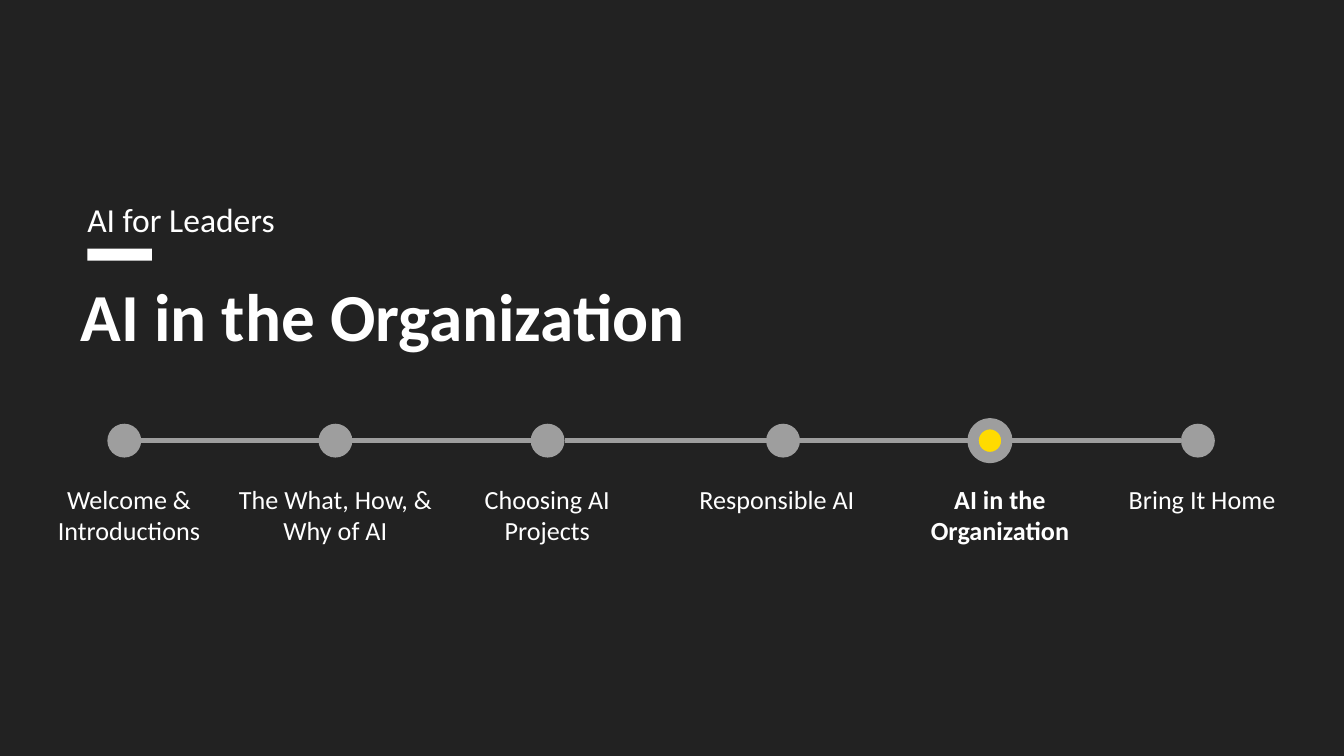
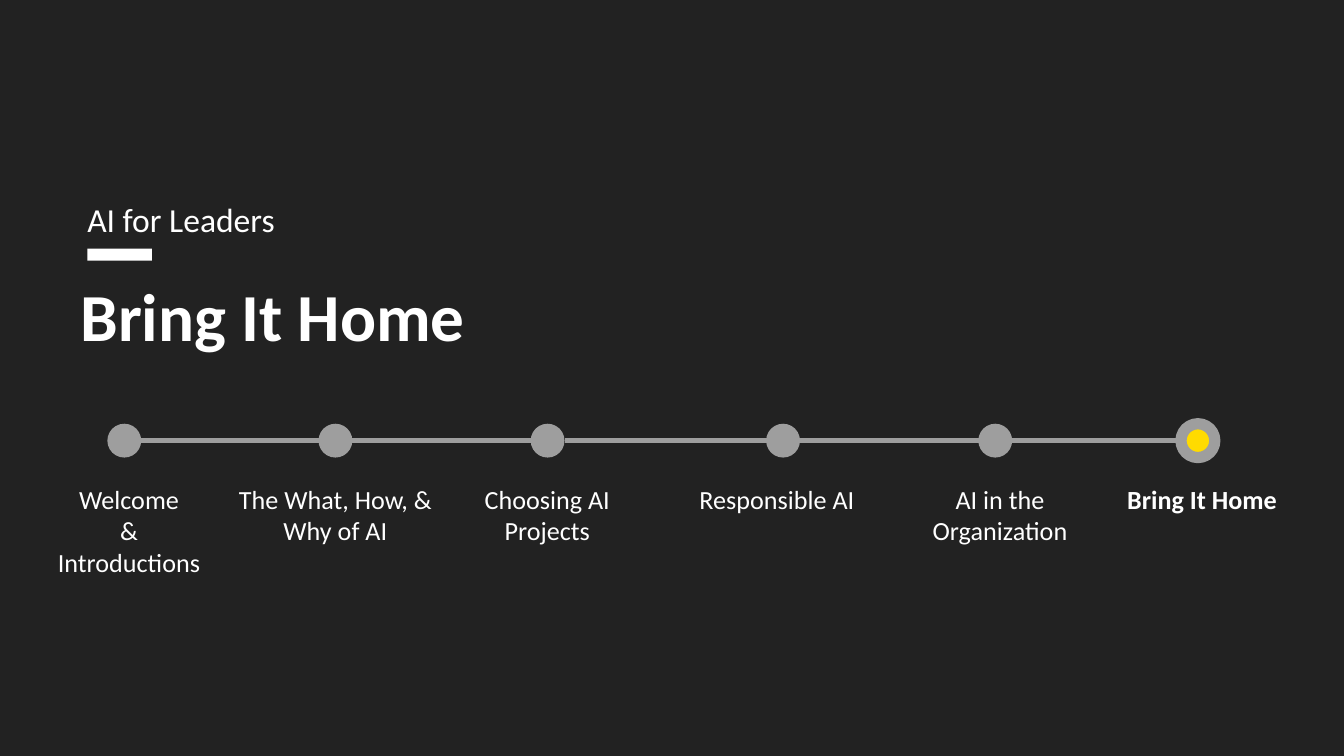
from copy import deepcopy
from dataclasses import dataclass
from typing import Optional

from pptx import Presentation
from pptx.dml.color import RGBColor
from pptx.enum.shapes import MSO_CONNECTOR as Connector, MSO_SHAPE as Shape
from pptx.enum.text import MSO_ANCHOR as Anchor, MSO_AUTO_SIZE as AutoSize, PP_ALIGN as Align
from pptx.oxml.ns import qn
from pptx.oxml.xmlchemy import OxmlElement
from pptx.slide import Slide
from pptx.util import Cm, Pt

FONT = "Calibri"
DARK, WHITE, GREY, YELLOW = "222222", "FFFFFF", "9E9E9E", "FFDB00"

# Timeline geometry in centimetres
RAIL_Y = 8.33
DOT = 0.64
LABEL_TOP = 8.89
RAIL_SPANS = ((0, 1), (1, 2), (2, 5))


@dataclass(frozen=True)
class Stop:
    label: str
    centre: float
    label_left: float
    label_width: float
    label_height: float = 2.54
    active_centre: Optional[float] = None


@dataclass(frozen=True)
class Section:
    title: str
    active: int
    first_label: str


STOPS = (
    Stop("Welcome & Introductions", 2.35, 0.66, 3.56),
    Stop("The What, How, & Why of AI", 6.34, 4.09, 4.5),
    Stop("Choosing AI Projects", 10.35, 8.48, 3.73),
    Stop("Responsible AI", 14.8, 12.55, 4.27, 2.79),
    Stop("AI in the Organization", 18.81, 17.12, 3.56, 2.79, active_centre=18.71),
    Stop("Bring It Home", 22.64, 21.03, 3.38),
)
SECTIONS = (
    Section("AI in the Organization", 4, STOPS[0].label),
    Section("Bring It Home", 5, "Welcome\v& Introductions"),
)


def colour(value: str) -> RGBColor:
    return RGBColor.from_string(value)


def write(box, text: str, size: float, bold: bool = False, align=Align.LEFT):
    """Fill a text box or placeholder and return its paragraph."""
    frame = box.text_frame
    frame.text = text
    frame.word_wrap = True
    frame.auto_size = AutoSize.NONE
    frame.vertical_anchor = Anchor.TOP
    frame.margin_left = frame.margin_right = Cm(0.25)
    frame.margin_top = frame.margin_bottom = Cm(0.25)
    para = frame.paragraphs[0]
    para.alignment = align
    for span in para.runs:
        span.font.name = FONT
        span.font.size = Pt(size)
        span.font.bold = bold
        span.font.color.rgb = colour(WHITE)
    # Line breaks take the size of the text around them
    for line_break in para._p.findall(qn("a:br")):
        line_break.append(deepcopy(para.runs[0]._r.rPr))
    return para


def add_solid(page: Slide, kind, left: float, top: float, width: float, height: float, fill: str):
    shape = page.shapes.add_shape(kind, Cm(left), Cm(top), Cm(width), Cm(height))
    shape.shadow.inherit = False
    shape.fill.solid()
    shape.fill.fore_color.rgb = colour(fill)
    shape.line.fill.background()
    return shape


def add_dot(page: Slide, centre: float, fill: str):
    return add_solid(page, Shape.OVAL, centre - DOT / 2, RAIL_Y - DOT / 2, DOT, DOT, fill)


def add_rail(page: Slide, start: Stop, end: Stop) -> None:
    rail = page.shapes.add_connector(
        Connector.STRAIGHT,
        Cm(start.centre + DOT / 2), Cm(RAIL_Y), Cm(end.centre - DOT / 2), Cm(RAIL_Y),
    )
    rail.line.color.rgb = colour(GREY)
    rail.line.width = Pt(3)
    rail._element.spPr.append(OxmlElement("a:effectLst"))


def add_stop(page: Slide, stop: Stop, label: str, active: bool) -> None:
    if active:
        marker = add_dot(page, stop.active_centre or stop.centre, YELLOW)
        marker.line.color.rgb = colour(GREY)
        marker.line.width = Pt(6)
    else:
        add_dot(page, stop.centre, GREY)
    box = page.shapes.add_textbox(
        Cm(stop.label_left), Cm(LABEL_TOP), Cm(stop.label_width), Cm(stop.label_height)
    )
    write(box, label, 14, active, Align.CENTER).space_after = Pt(16)


def add_heading(page: Slide, text: str) -> None:
    page.background.fill.solid()
    page.background.fill.fore_color.rgb = colour(DARK)
    add_solid(page, Shape.RECTANGLE, 1.65, 4.7, 1.22, 0.23, WHITE)

    title = page.shapes.title
    title.left, title.top, title.width, title.height = Cm(1.27), Cm(4.93), Cm(20.98), Cm(1.73)
    write(title, text, 36, bold=True)

    course = page.shapes.add_textbox(Cm(1.4), Cm(3.4), Cm(20.73), Cm(1.14))
    para = write(course, "AI for Leaders", 18)
    para.line_spacing = 1.15
    para.space_after = Pt(16)


def add_section(deck, section: Section) -> None:
    page = deck.slides.add_slide(deck.slide_layouts.get_by_name("Title Only"))
    add_heading(page, section.title)
    for start, end in RAIL_SPANS:
        add_rail(page, STOPS[start], STOPS[end])
    for index, stop in enumerate(STOPS):
        label = stop.label if index else section.first_label
        add_stop(page, stop, label, index == section.active)


def main() -> None:
    deck = Presentation()
    deck.slide_width, deck.slide_height = Cm(25.4), Cm(14.29)
    for section in SECTIONS:
        add_section(deck, section)
    deck.save("out.pptx")


if __name__ == "__main__":
    main()
